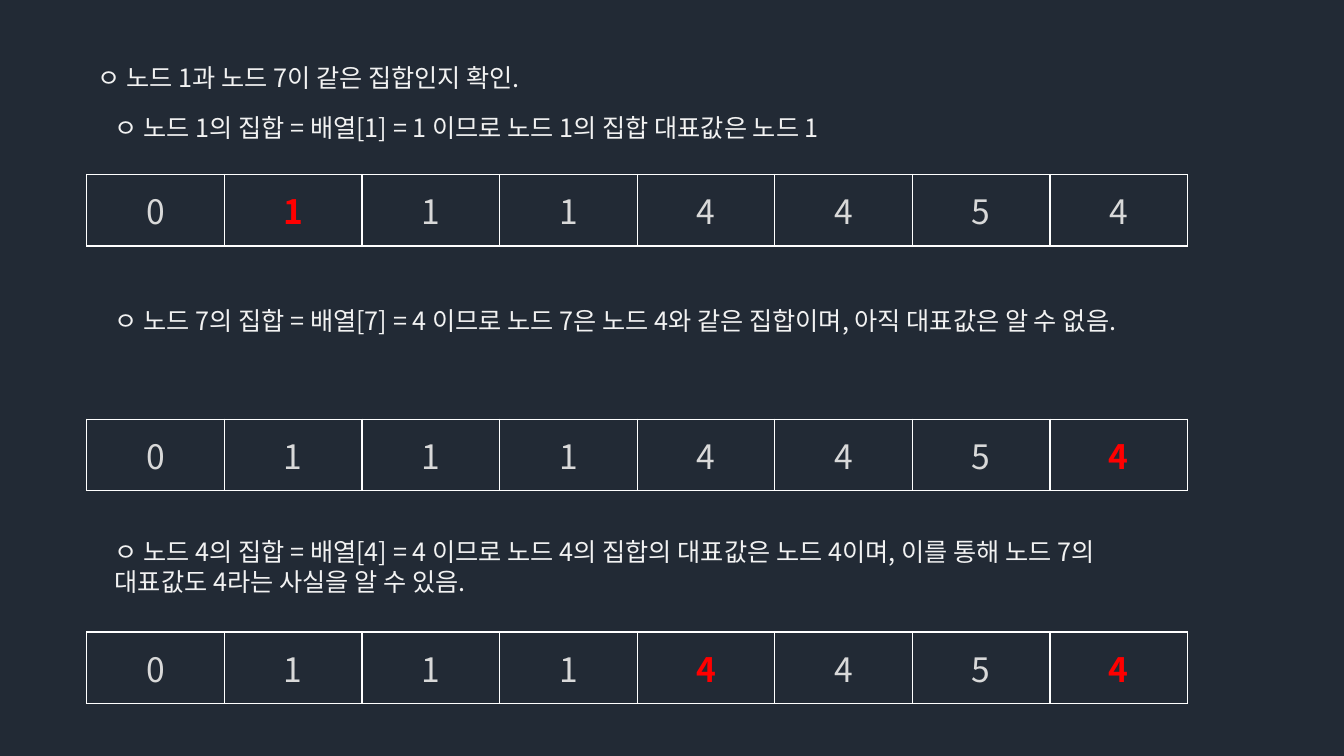
import pptx
import pptx.util
import pptx.dml.color
import pptx.enum.text
import pptx.oxml.ns
from dataclasses import dataclass
from lxml import etree

# Content: (left, top, height, text) and (top, highlighted columns)
NOTES = [
    (0.87, 0.57, 0.4, "ㅇ 노드 1과 노드 7이 같은 집합인지 확인."),
    (1.04, 1.07, 0.4, "ㅇ 노드 1의 집합 = 배열[1] = 1 이므로 노드 1의 집합 대표값은 노드 1"),
    (1.04, 2.98, 0.71, "ㅇ 노드 7의 집합 = 배열[7] = 4 이므로 노드 7은 노드 4와 같은 집합이며, "
                       "아직 대표값은 알 수 없음."),
    (1.04, 5.27, 0.71, "ㅇ 노드 4의 집합 = 배열[4] = 4 이므로 노드 4의 집합의 대표값은 노드 4이며, "
                       "이를 통해 노드 7의 대표값도 4라는 사실을 알 수 있음."),
]
PARENTS = [0, 1, 1, 1, 4, 4, 5, 4]
ARRAYS = [(1.73, {1}), (4.16, {7}), (6.27, {4, 7})]

# Layout in inches
SLIDE_WIDTH, SLIDE_HEIGHT = 13.33, 7.5
NOTE_WIDTH = 10.34
ARRAY_LEFT, ARRAY_WIDTH, ARRAY_HEIGHT = 0.86, 10.92, 0.71


@dataclass(frozen=True)
class Theme:
    font: str = "Noto Sans CJK KR"
    background: str = "222A35"
    note: str = "F2F2F2"
    value: str = "D9D9D9"
    highlight: str = "FF0000"
    border: str = "FFFFFF"
    note_size: int = 18
    value_size: int = 24
    border_width: int = 1


THEME = Theme()
Inches = pptx.util.Inches


def rgb(code):
    return pptx.dml.color.RGBColor.from_string(code)


def style(paragraph, size, color, bold=False):
    for run in paragraph.runs:
        font = run.font
        font.name, font.size, font.bold = THEME.font, pptx.util.Pt(size), bold
        font.color.rgb = rgb(color)
        # Korean letters take the East Asian typeface
        latin = run._r.rPr.find(pptx.oxml.ns.qn("a:latin"))
        east_asian = etree.Element(pptx.oxml.ns.qn("a:ea"), typeface=THEME.font)
        latin.addnext(east_asian)


def add_borders(cell):
    properties = cell._tc.get_or_add_tcPr()
    for position, side in enumerate(("a:lnL", "a:lnR", "a:lnT", "a:lnB")):
        line = etree.Element(pptx.oxml.ns.qn(side),
                             w=str(pptx.util.Pt(THEME.border_width)))
        fill = etree.SubElement(line, pptx.oxml.ns.qn("a:solidFill"))
        etree.SubElement(fill, pptx.oxml.ns.qn("a:srgbClr"), val=THEME.border)
        properties.insert(position, line)


def add_note(slide, left, top, height, text):
    box = slide.shapes.add_textbox(Inches(left), Inches(top),
                                   Inches(NOTE_WIDTH), Inches(height))
    frame = box.text_frame
    frame.word_wrap = True
    frame.auto_size = pptx.enum.text.MSO_AUTO_SIZE.SHAPE_TO_FIT_TEXT
    frame.text = text
    style(frame.paragraphs[0], THEME.note_size, THEME.note)


def add_array(slide, top, highlighted):
    table = slide.shapes.add_table(
        1, len(PARENTS), Inches(ARRAY_LEFT), Inches(top),
        Inches(ARRAY_WIDTH), Inches(ARRAY_HEIGHT)).table
    table.first_row = table.horz_banding = False
    for column, parent in enumerate(PARENTS):
        marked = column in highlighted
        cell = table.cell(0, column)
        cell.text = str(parent)
        cell.fill.background()
        cell.vertical_anchor = pptx.enum.text.MSO_ANCHOR.MIDDLE
        paragraph = cell.text_frame.paragraphs[0]
        paragraph.alignment = pptx.enum.text.PP_ALIGN.CENTER
        style(paragraph, THEME.value_size,
              THEME.highlight if marked else THEME.value, marked)
        add_borders(cell)


def main():
    presentation = pptx.Presentation()
    presentation.slide_width = Inches(SLIDE_WIDTH)
    presentation.slide_height = Inches(SLIDE_HEIGHT)
    slide = presentation.slides.add_slide(presentation.slide_layouts[6])
    background = slide.background.fill
    background.solid()
    background.fore_color.rgb = rgb(THEME.background)

    # Explanations, then the state of the array after each step
    for note in NOTES:
        add_note(slide, *note)
    for array in ARRAYS:
        add_array(slide, *array)
    presentation.save("out.pptx")


if __name__ == "__main__":
    main()
